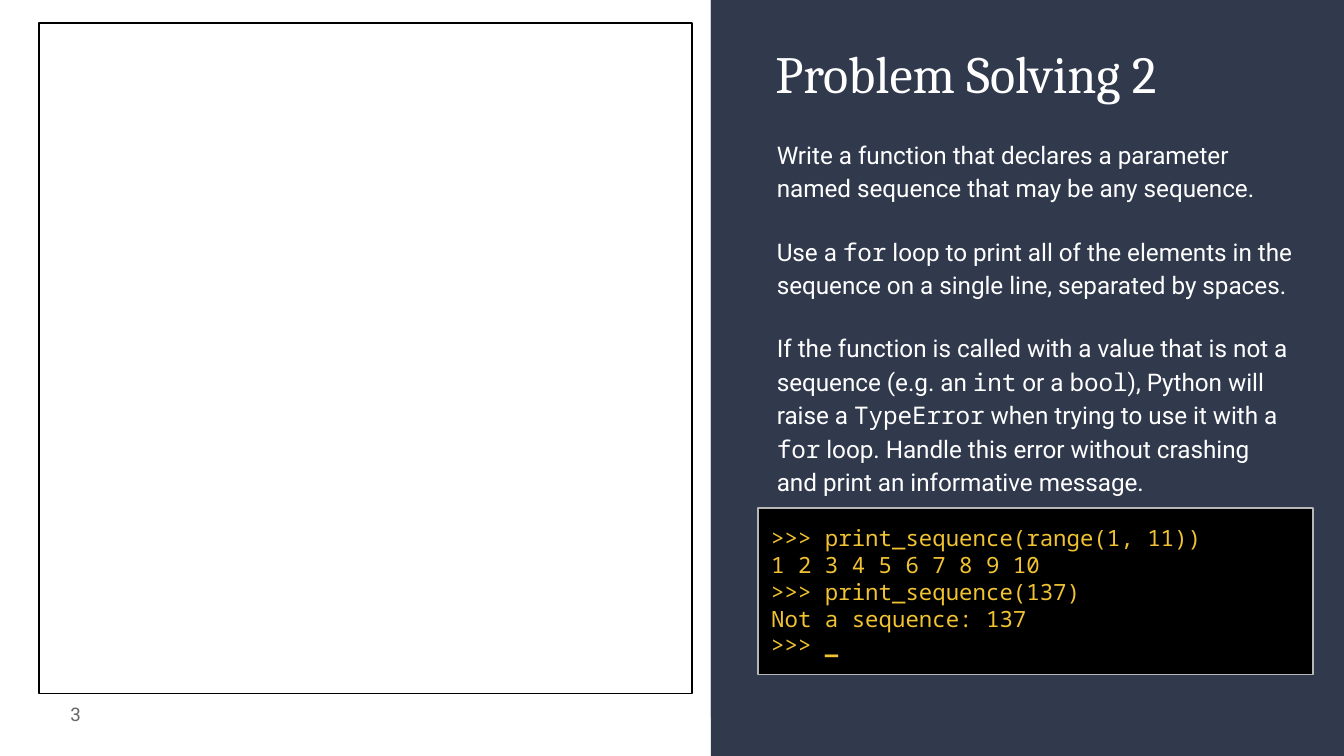
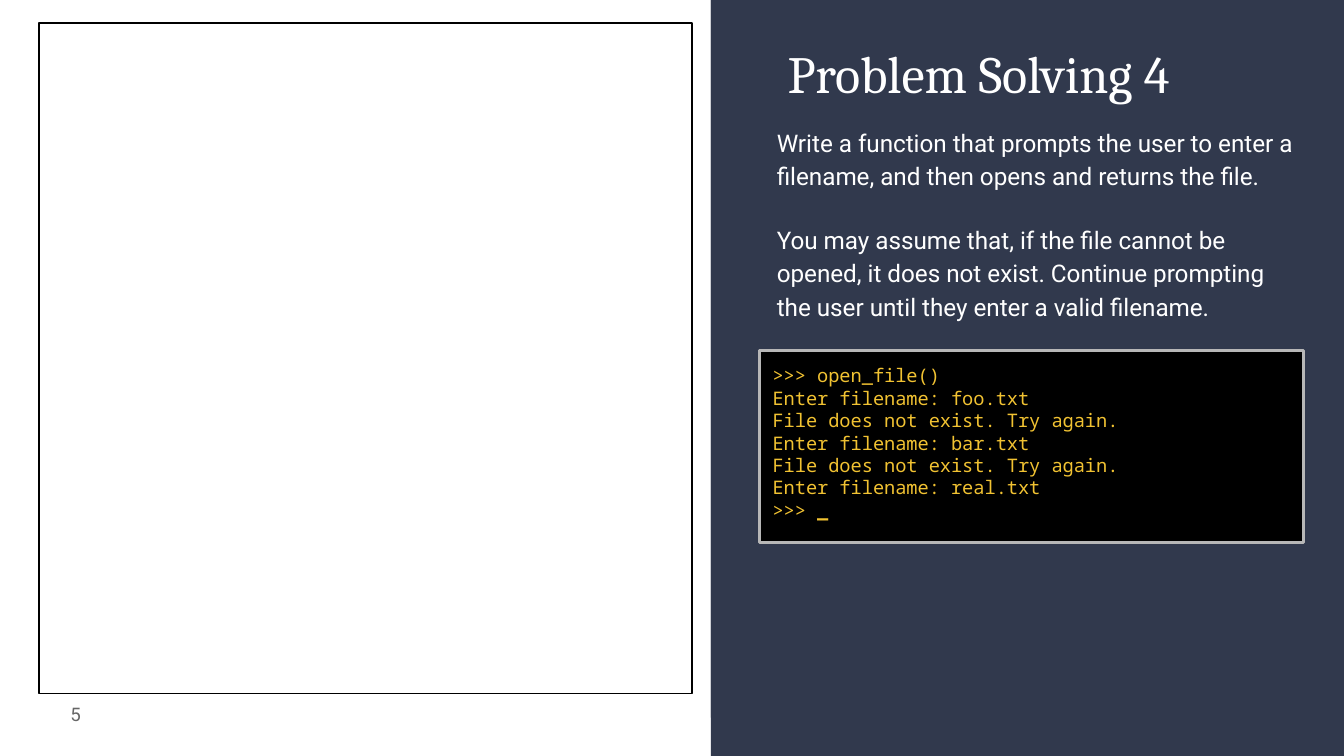
import pptx
import pptx.util
import pptx.dml.color
import pptx.enum.shapes
import pptx.enum.text
import lxml.etree

Inches = pptx.util.Inches
Pt = pptx.util.Pt
RECTANGLE = pptx.enum.shapes.MSO_SHAPE.RECTANGLE
ALIGN = pptx.enum.text.PP_ALIGN
ANCHOR = pptx.enum.text.MSO_ANCHOR

WHITE, BLACK = "FFFFFF", "000000"
NAVY, YELLOW = "31394D", "F1C232"
LIGHT_GRAY, DARK_GRAY = "B7B7B7", "666666"
TITLE_FONT, TEXT_FONT, CODE_FONT = "Cambria", "Roboto", "Noto Sans Mono"
PANEL_LEFT, PANEL_WIDTH = 5.29, 4.72
SLIDE_WIDTH = 10
SLIDE_HEIGHT = SLIDE_WIDTH * 9 / 16

PROBLEMS = [
    {
        "number": "3",
        "title": "Problem Solving 2",
        "title_box": (5.67, 0.21, 4.05, 0.7),
        "body": [
            "Write a function that declares a parameter named sequence that may be any sequence.",
            "Use a `for` loop to print all of the elements in the sequence on a single line, "
            "separated by spaces.",
            "If the function is called with a value that is not a sequence (e.g. an `int` or a "
            "`bool`), Python will raise a `TypeError` when trying to use it with a `for` loop. "
            "Handle this error without crashing and print an informative message.",
        ],
        "body_box": (5.68, 0.91, 4.05, 2.87),
        "console": [
            ">>> print_sequence(range(1, 11))",
            "1 2 3 4 5 6 7 8 9 10",
            ">>> print_sequence(137)",
            "Not a sequence: 137",
        ],
        "console_box": (5.64, 3.78, 4.13, 1.24),
        "console_style": (12, 0.75, ANCHOR.MIDDLE),
    },
    {
        "number": "5",
        "title": "Problem Solving 4",
        "title_box": (5.76, 0.21, 4.05, 0.7),
        "body": [
            "Write a function that prompts the user to enter a filename, and then opens and "
            "returns the file.",
            "You may assume that, if the file cannot be opened, it does not exist. Continue "
            "prompting the user until they enter a valid filename.",
        ],
        "body_box": (5.68, 0.82, 4.05, 1.79),
        "console": [
            ">>> open_file()",
            "Enter filename: foo.txt",
            "File does not exist. Try again.",
            "Enter filename: bar.txt",
            "File does not exist. Try again.",
            "Enter filename: real.txt",
        ],
        "console_box": (5.65, 2.61, 4.05, 1.43),
        "console_style": (10, 1.5, ANCHOR.TOP),
    },
]


def rgb(color):
    return pptx.dml.color.RGBColor.from_string(color)


def style_font(font, size, color, name=None):
    font.size = Pt(size)
    font.color.rgb = rgb(color)
    if name:
        font.name = name


def style_shape(shape, fill=None, line=None, line_width=0.75):
    shape.shadow.inherit = False
    if fill:
        shape.fill.solid()
        shape.fill.fore_color.rgb = rgb(fill)
    else:
        shape.fill.background()
    if line:
        shape.line.color.rgb = rgb(line)
        shape.line.width = Pt(line_width)
    else:
        shape.line.fill.background()


def place(shape, box):
    shape.left, shape.top, shape.width, shape.height = map(Inches, box)


def prepare_frame(shape, anchor=ANCHOR.TOP):
    frame = shape.text_frame
    frame.word_wrap = True
    frame.auto_size = pptx.enum.text.MSO_AUTO_SIZE.NONE
    frame.vertical_anchor = anchor
    frame.margin_left = frame.margin_right = Inches(0.1)
    frame.margin_top = frame.margin_bottom = Inches(0.1)
    return frame


def paragraphs_for(frame, lines):
    for index, line in enumerate(lines):
        paragraph = frame.paragraphs[0] if index == 0 else frame.add_paragraph()
        yield paragraph, line


def remove_bullet(paragraph):
    properties = paragraph._p.get_or_add_pPr()
    properties.set("marL", "0")
    properties.set("indent", "0")
    lxml.etree.SubElement(properties, pptx.oxml.ns.qn("a:buNone"))


def add_panel(slide):
    panel = slide.shapes.add_shape(
        RECTANGLE, Inches(PANEL_LEFT), 0, Inches(PANEL_WIDTH), Inches(SLIDE_HEIGHT))
    right = PANEL_LEFT + PANEL_WIDTH
    builder = slide.shapes.build_freeform(Inches(PANEL_LEFT), 0)
    corners = [(right, 0), (right, 3.84), (PANEL_LEFT, 5.34)]
    builder.add_line_segments([(Inches(x), Inches(y)) for x, y in corners], close=True)
    slanted_panel = builder.convert_to_shape()
    for shape in (panel, slanted_panel):
        style_shape(shape, NAVY)
        slide.shapes.title.element.addprevious(shape.element)


def fill_title(slide, text, box):
    title = slide.shapes.title
    place(title, box)
    paragraph = prepare_frame(title).paragraphs[0]
    paragraph.text = text
    paragraph.alignment = ALIGN.LEFT
    style_font(paragraph.font, 28, WHITE, TITLE_FONT)


def fill_body(slide, texts, box):
    body = slide.placeholders[1]
    place(body, box)
    for paragraph, text in paragraphs_for(prepare_frame(body), texts):
        paragraph.line_spacing = 1.15
        paragraph.space_before = Pt(0 if text == texts[0] else 16)
        paragraph.space_after = Pt(16 if text == texts[-1] else 0)
        remove_bullet(paragraph)
        style_font(paragraph.font, 13, WHITE)
        for index, part in enumerate(text.split("`")):
            run = paragraph.add_run()
            run.text = part
            run.font.name = CODE_FONT if index % 2 else TEXT_FONT


def add_slide_number(slide, number):
    box = slide.shapes.add_textbox(*map(Inches, (0.1, 5.1, 0.6, 0.43)))
    paragraph = prepare_frame(box, ANCHOR.MIDDLE).paragraphs[0]
    paragraph.text = number
    paragraph.alignment = ALIGN.RIGHT
    style_font(paragraph.font, 10, DARK_GRAY, TEXT_FONT)


def add_answer_frame(slide):
    frame = slide.shapes.add_shape(RECTANGLE, *map(Inches, (0.29, 0.17, 4.86, 4.99)))
    style_shape(frame, line=BLACK)


def add_console(slide, lines, box, size, line_width, anchor):
    console = slide.shapes.add_shape(RECTANGLE, *map(Inches, box))
    style_shape(console, BLACK, LIGHT_GRAY, line_width)
    frame = prepare_frame(console, anchor)
    for paragraph, line in paragraphs_for(frame, lines + [">>> "]):
        paragraph.alignment = ALIGN.LEFT
        style_font(paragraph.font, size, YELLOW, CODE_FONT)
        paragraph.add_run().text = line
    cursor = frame.paragraphs[-1].add_run()
    cursor.text = "_"
    cursor.font.bold = True


def add_problem_slide(presentation, problem):
    slide = presentation.slides.add_slide(presentation.slide_layouts[1])
    add_panel(slide)
    fill_title(slide, problem["title"], problem["title_box"])
    fill_body(slide, problem["body"], problem["body_box"])
    add_slide_number(slide, problem["number"])
    add_answer_frame(slide)
    add_console(slide, problem["console"], problem["console_box"], *problem["console_style"])


def main():
    presentation = pptx.Presentation()
    presentation.slide_width = Inches(SLIDE_WIDTH)
    presentation.slide_height = Inches(SLIDE_HEIGHT)
    for problem in PROBLEMS:
        add_problem_slide(presentation, problem)
    presentation.save("out.pptx")


if __name__ == "__main__":
    main()
